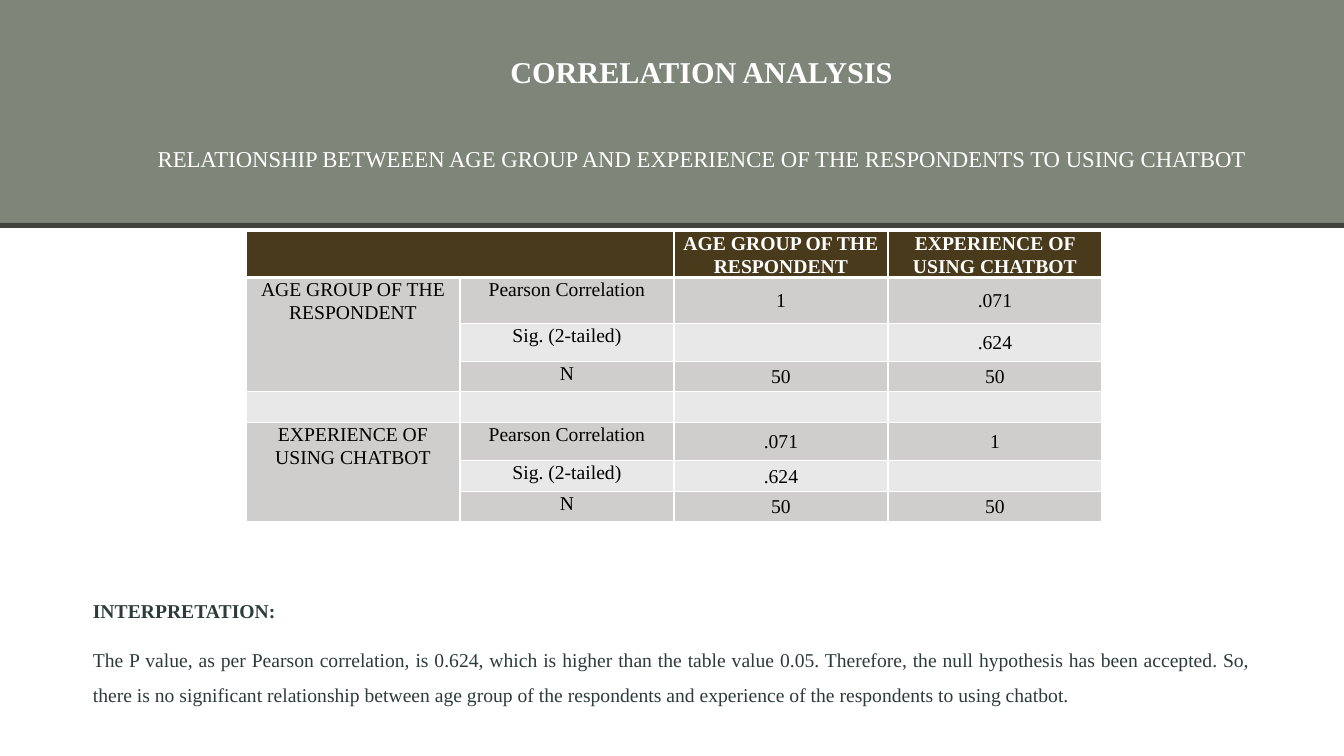
"""Build the correlation analysis slide with its results table."""
from dataclasses import dataclass

from lxml import etree
from pptx import Presentation
from pptx.dml.color import RGBColor
from pptx.enum.shapes import MSO_SHAPE
from pptx.enum.text import MSO_ANCHOR, MSO_AUTO_SIZE, PP_ALIGN
from pptx.oxml.ns import qn
from pptx.util import Emu, Pt

RECTANGLE = MSO_SHAPE.RECTANGLE
TOP, MIDDLE, BOTTOM = MSO_ANCHOR.TOP, MSO_ANCHOR.MIDDLE, MSO_ANCHOR.BOTTOM
CENTER, JUSTIFY = PP_ALIGN.CENTER, PP_ALIGN.JUSTIFY
NO_AUTOFIT = MSO_AUTO_SIZE.NONE

EMU_PER_PX = 914400 / 100.8
FONT = "Times New Roman"
WHITE, BLACK, INK = "FFFFFF", "000000", "2C3C3A"
SAGE, CHARCOAL = "7E8679", "3F433C"
BROWN, DARK_BAND, LIGHT_BAND = "4A3A1C", "D0CECD", "E9E8E8"

AGE = "AGE GROUP OF THE RESPONDENT"
EXPERIENCE = "EXPERIENCE OF USING CHATBOT"
COLUMN_WIDTH = 214


@dataclass(frozen=True)
class Box:
    left: int
    top: int
    width: int
    height: int

    def emu(self) -> tuple:
        return tuple(px(n) for n in (self.left, self.top, self.width, self.height))


@dataclass(frozen=True)
class Band:
    box: Box
    color: str


@dataclass(frozen=True)
class Line:
    text: str
    size: float
    color: str
    bold: bool = False
    align: PP_ALIGN = CENTER
    spacing: float = 1.0
    before: float = 0
    after: float = 0


@dataclass(frozen=True)
class Row:
    height: int
    color: str
    texts: tuple


BANDS = (
    Band(Box(0, 0, 1344, 226), SAGE),
    Band(Box(0, 223, 1344, 5), CHARCOAL),
)
TITLE_BOX = Box(103, 25, 1197, 180)
TITLE_LINES = (
    Line("CORRELATION ANALYSIS", 21.6, WHITE, True, spacing=0.9),
    Line("RELATIONSHIP BETWEEEN AGE GROUP AND EXPERIENCE OF THE RESPONDENTS TO USING CHATBOT",
         16.2, WHITE, spacing=0.9, before=41),
)
ROWS = (
    Row(46, BROWN, ("", "", AGE, EXPERIENCE)),
    Row(46, DARK_BAND, (AGE, "Pearson Correlation", "1", ".071")),
    Row(38, LIGHT_BAND, ("", "Sig. (2-tailed)", "", ".624")),
    Row(30, DARK_BAND, ("", "N", "50", "50")),
    Row(31, LIGHT_BAND, ("", "", "", "")),
    Row(38, DARK_BAND, (EXPERIENCE, "Pearson Correlation", ".071", "1")),
    Row(31, LIGHT_BAND, ("", "Sig. (2-tailed)", ".624", "")),
    Row(30, DARK_BAND, ("", "N", "50", "50")),
)
MERGES = (((0, 0), (0, 1)), ((1, 0), (3, 0)), ((5, 0), (7, 0)))
TABLE_BOX = Box(246, 231, 4 * COLUMN_WIDTH, sum(row.height for row in ROWS))
INTERPRETATION_BOX = Box(83, 582, 1178, 140)
INTERPRETATION = (
    Line("INTERPRETATION:", 14, INK, True, JUSTIFY, 1.5),
    Line("The P value, as per Pearson correlation, is 0.624, which is higher than the table "
         "value 0.05. Therefore, the null hypothesis has been accepted. So, there is no "
         "significant relationship between age group of the respondents and experience of "
         "the respondents to using chatbot.", 14, INK, False, JUSTIFY, 1.5, 10),
)


def px(length: int) -> Emu:
    return Emu(round(length * EMU_PER_PX))


def rgb(color: str) -> RGBColor:
    return RGBColor.from_string(color)


def paint(target, color: str) -> None:
    target.fill.solid()
    target.fill.fore_color.rgb = rgb(color)


def write(frame, lines: tuple) -> None:
    frame.word_wrap = True
    for index, line in enumerate(lines):
        paragraph = frame.add_paragraph() if index else frame.paragraphs[0]
        paragraph.text = line.text
        paragraph.alignment = line.align
        paragraph.line_spacing = line.spacing
        paragraph.space_before = Pt(line.before)
        paragraph.space_after = Pt(line.after)
        font = paragraph.font
        font.name, font.size, font.bold = FONT, Pt(line.size), line.bold
        font.color.rgb = rgb(line.color)


def add_band(slide, band: Band) -> None:
    shape = slide.shapes.add_shape(RECTANGLE, *band.box.emu())
    shape.shadow.inherit = False
    paint(shape, band.color)
    shape.line.fill.background()


def place_title(slide) -> None:
    title = slide.shapes.title
    slide.shapes[-1].element.addnext(title.element)
    title.left, title.top, title.width, title.height = TITLE_BOX.emu()
    title.text_frame.auto_size = NO_AUTOFIT
    title.text_frame.vertical_anchor = MIDDLE
    write(title.text_frame, TITLE_LINES)


def add_borders(cell, row_index: int) -> None:
    widths = {"L": 1, "R": 1, "T": 3 if row_index == 1 else 1, "B": 3 if row_index == 0 else 1}
    properties = cell._tc.get_or_add_tcPr()
    for side, width in widths.items():
        border = etree.SubElement(properties, qn(f"a:ln{side}"), w=str(Pt(width)))
        fill = etree.SubElement(border, qn("a:solidFill"))
        etree.SubElement(fill, qn("a:srgbClr"), val=WHITE)


def fill_cell(cell, row_index: int, column_index: int) -> None:
    row = ROWS[row_index]
    header = row_index == 0
    add_borders(cell, row_index)
    paint(cell, row.color)
    cell.margin_left = cell.margin_right = px(6)
    cell.margin_top = cell.margin_bottom = 0
    cell.vertical_anchor = BOTTOM if header else TOP if column_index < 2 else MIDDLE
    color = WHITE if header else BLACK
    write(cell.text_frame,
          (Line(row.texts[column_index], 14, color, header, spacing=1.07, after=8),))


def add_correlations(slide) -> None:
    table = slide.shapes.add_table(len(ROWS), 4, *TABLE_BOX.emu()).table
    for column in table.columns:
        column.width = px(COLUMN_WIDTH)
    for row_index, row in enumerate(ROWS):
        table.rows[row_index].height = px(row.height)
        for column_index in range(4):
            fill_cell(table.cell(row_index, column_index), row_index, column_index)
    for first, last in MERGES:
        table.cell(*first).merge(table.cell(*last))


def main() -> None:
    presentation = Presentation()
    presentation.slide_width, presentation.slide_height = px(1344), px(756)
    slide = presentation.slides.add_slide(presentation.slide_layouts[5])
    for band in BANDS:
        add_band(slide, band)
    place_title(slide)
    add_correlations(slide)
    interpretation = slide.shapes.add_textbox(*INTERPRETATION_BOX.emu())
    write(interpretation.text_frame, INTERPRETATION)
    presentation.save("out.pptx")


if __name__ == "__main__":
    main()
